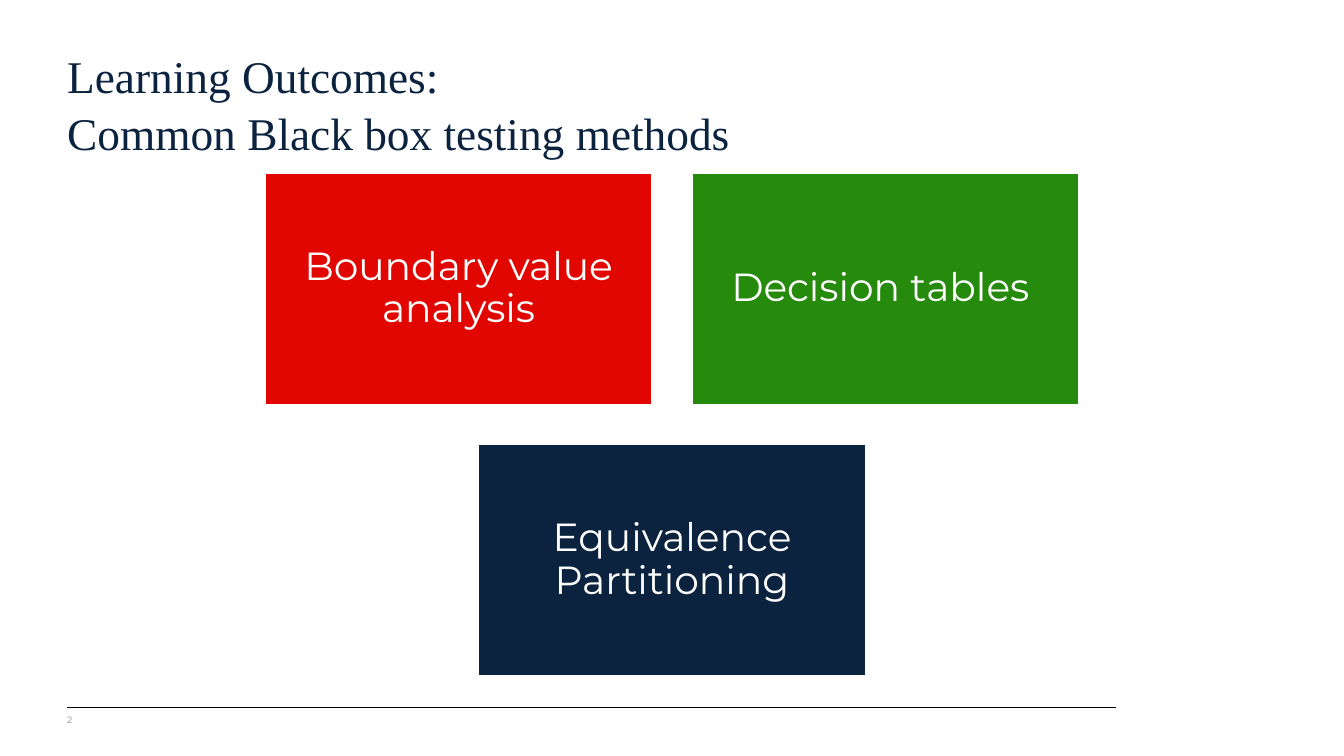
from pptx import Presentation
from pptx.dml.color import RGBColor
from pptx.enum.shapes import MSO_CONNECTOR, MSO_SHAPE
from pptx.enum.text import MSO_ANCHOR as ANCHOR, MSO_AUTO_SIZE, PP_ALIGN as ALIGN
from pptx.util import Pt
from lxml import etree

COLOURS = {"navy": "0C2340", "red": "E10600", "green": "268B0C",
           "white": "FFFFFF", "grey": "8C8C8C", "black": "000000"}


def colour(name):
    return RGBColor.from_string(COLOURS[name])


def format_text(frame, font_name, size, colour_name, anchor, align, insets):
    frame.word_wrap = True
    frame.auto_size = MSO_AUTO_SIZE.NONE
    frame.vertical_anchor = anchor
    (frame.margin_left, frame.margin_top,
     frame.margin_right, frame.margin_bottom) = [Pt(inset) for inset in insets]
    paragraph = frame.paragraphs[0]
    paragraph.alignment = align
    paragraph.font.name = font_name
    paragraph.font.size = Pt(size)
    paragraph.font.color.rgb = colour(colour_name)
    return paragraph


prs = Presentation()
prs.slide_width, prs.slide_height = Pt(960), Pt(540)
slide = prs.slides.add_slide(prs.slide_layouts[5])
shapes = slide.shapes

# Footer rule
footer_rule = shapes.add_connector(MSO_CONNECTOR.STRAIGHT,
                                   Pt(48), Pt(505.5), Pt(797), Pt(505.5))
footer_rule.line.color.rgb = colour("black")
footer_rule.line.width = Pt(0.75)
etree.SubElement(footer_rule._element.spPr,
                 "{http://schemas.openxmlformats.org/drawingml/2006/main}effectLst")

# Title
title = shapes.title
title.left, title.top, title.width, title.height = Pt(48), Pt(32.4), Pt(749.5), Pt(67)
title.text_frame.text = "Learning Outcomes:\vCommon Black box testing methods"
heading = format_text(title.text_frame, "Times New Roman", 32.4, "navy",
                      ANCHOR.TOP, ALIGN.LEFT, (0, 0, 7.2, 3.6))
heading.line_spacing = 1.05

# Slide number
page_number = shapes.add_textbox(Pt(48), Pt(508.3), Pt(38), Pt(15))
page_number.text_frame.text = "2"
format_text(page_number.text_frame, "Montserrat", 6.5, "grey",
            ANCHOR.MIDDLE, ALIGN.LEFT, (0, 0, 7.2, 3.6))

# Testing methods: rows of equal boxes, each row centred on the slide
BOX_WIDTH, BOX_HEIGHT, GAP = 277.2, 166.3, 27.7
METHODS_TOP, SLIDE_CENTRE = 123.1, 480
method_rows = [
    [("Boundary value analysis", "red"), ("Decision tables ", "green")],
    [("Equivalence Partitioning", "navy")],
]
for row, methods in enumerate(method_rows):
    row_width = len(methods) * (BOX_WIDTH + GAP) - GAP
    row_left = SLIDE_CENTRE - row_width / 2
    top = METHODS_TOP + row * (BOX_HEIGHT + GAP)
    for column, (method, fill) in enumerate(methods):
        left = row_left + column * (BOX_WIDTH + GAP)
        box = shapes.add_shape(MSO_SHAPE.RECTANGLE, Pt(left), Pt(top),
                               Pt(BOX_WIDTH), Pt(BOX_HEIGHT))
        box.shadow.inherit = False
        box.fill.solid()
        box.fill.fore_color.rgb = colour(fill)
        box.line.color.rgb = colour("white")
        box.line.width = Pt(2)
        box.text_frame.text = method
        label = format_text(box.text_frame, "Montserrat", 28, "white",
                            ANCHOR.MIDDLE, ALIGN.CENTER, (8.4,) * 4)
        label.line_spacing = 0.9

prs.save("out.pptx")
